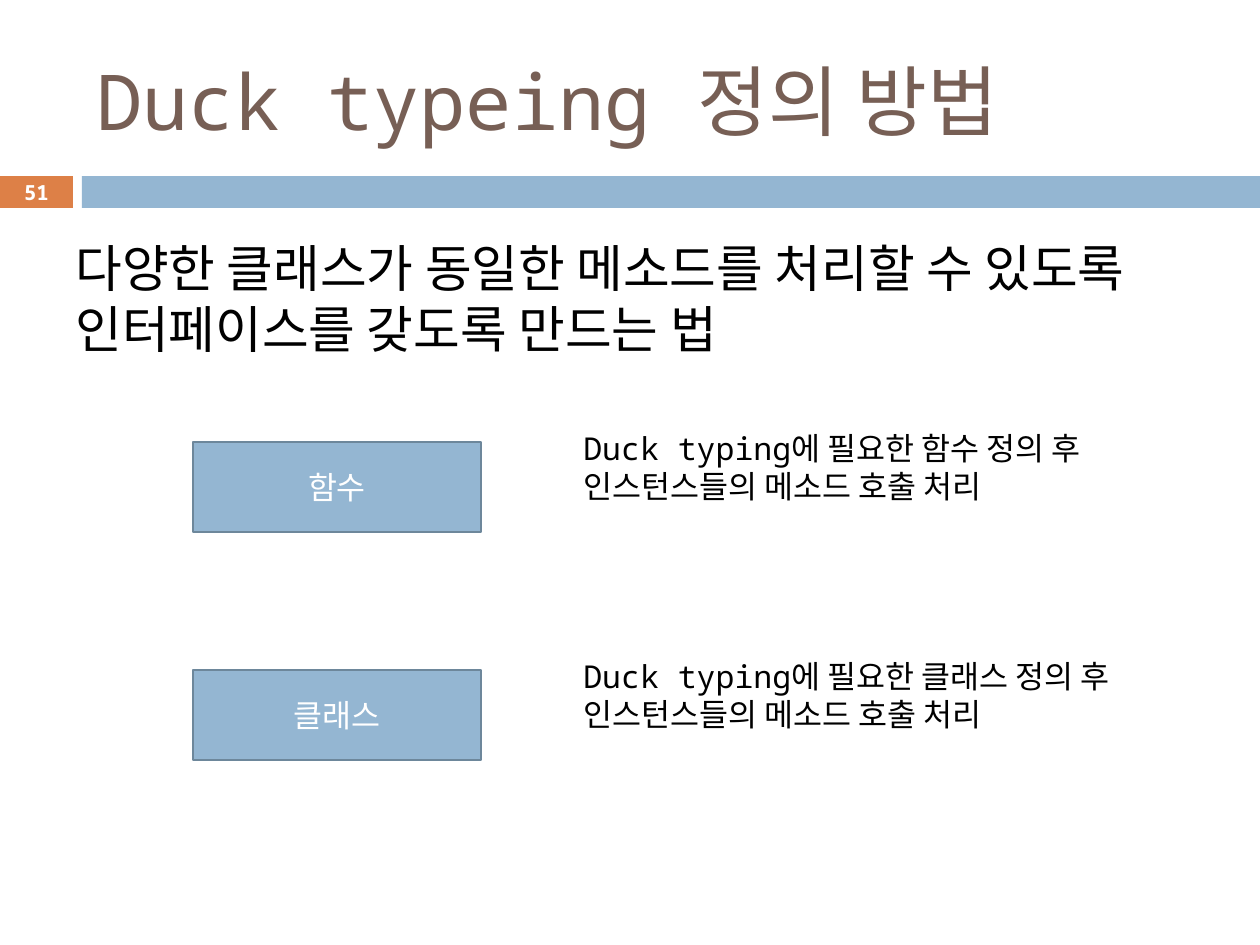
from pptx import Presentation
from pptx.dml.color import RGBColor
from pptx.enum.shapes import MSO_SHAPE as SHAPE
from pptx.enum.text import MSO_ANCHOR as ANCHOR, PP_ALIGN as ALIGN
from pptx.util import Emu, Pt

PX = 914400 // 126
FONT = "Noto Sans Mono"
BLUE, ORANGE, BROWN = "94B6D2", "DD8047", "775F55"
EDGE, WHITE, BLACK = "6D879B", "FFFFFF", "000000"


def px(*lengths):
    return [Emu(n * PX) for n in lengths]


def color(value):
    return RGBColor.from_string(value)


def set_text(sp, text, size, ink, align=ALIGN.LEFT, anchor=ANCHOR.TOP, bold=False):
    tf = sp.text_frame
    tf.word_wrap = True
    tf.vertical_anchor = anchor
    p = tf.paragraphs[0]
    p.text = text
    p.alignment = align
    font = p.runs[0].font
    font.name, font.size, font.bold = FONT, Pt(size), bold
    font.color.rgb = color(ink)


def add_text(s, box, text, size, ink, **layout):
    set_text(s.shapes.add_textbox(*px(*box)), text, size, ink, **layout)


def add_rect(s, box, fill, line=None):
    sp = s.shapes.add_shape(SHAPE.RECTANGLE, *px(*box))
    sp.shadow.inherit = False
    sp.fill.solid()
    sp.fill.fore_color.rgb = color(fill)
    if line:
        sp.line.color.rgb = color(line)
        sp.line.width = Pt(1.5)
    else:
        sp.line.fill.background()
    return sp


def add_method(s, top, name, description):
    """A labelled box with its description to the right."""
    sp = add_rect(s, (193, top, 288, 90), BLUE, EDGE)
    set_text(sp, name, 18, WHITE, align=ALIGN.CENTER, anchor=ANCHOR.MIDDLE)
    add_text(s, (571, top - 19, 566, 90), description, 18, BLACK)


def main():
    prs = Presentation()
    prs.slide_width, prs.slide_height = px(1260, 945)
    s = prs.slides.add_slide(prs.slide_layouts[6])

    # Header band and slide number
    number = add_rect(s, (0, 176, 73, 32), ORANGE)
    set_text(number, "51", 11.9, WHITE, align=ALIGN.CENTER,
             anchor=ANCHOR.MIDDLE, bold=True)
    add_rect(s, (82, 176, 1178, 32), BLUE)

    # Title and introduction
    add_text(s, (84, 32, 1124, 136), "Duck typeing 정의 방법", 44, BROWN,
             anchor=ANCHOR.MIDDLE)
    add_text(s, (63, 231, 1134, 183),
             "다양한 클래스가 동일한 메소드를 처리할 수 있도록 인터페이스를 갖도록 만드는 법",
             29, BLACK)

    # Ways to define duck typing
    for i, name in enumerate(("함수", "클래스")):
        add_method(s, 442 + 228 * i, name,
                   f"Duck typing에 필요한 {name} 정의 후 인스턴스들의 메소드 호출 처리")

    prs.save("out.pptx")


if __name__ == "__main__":
    main()
